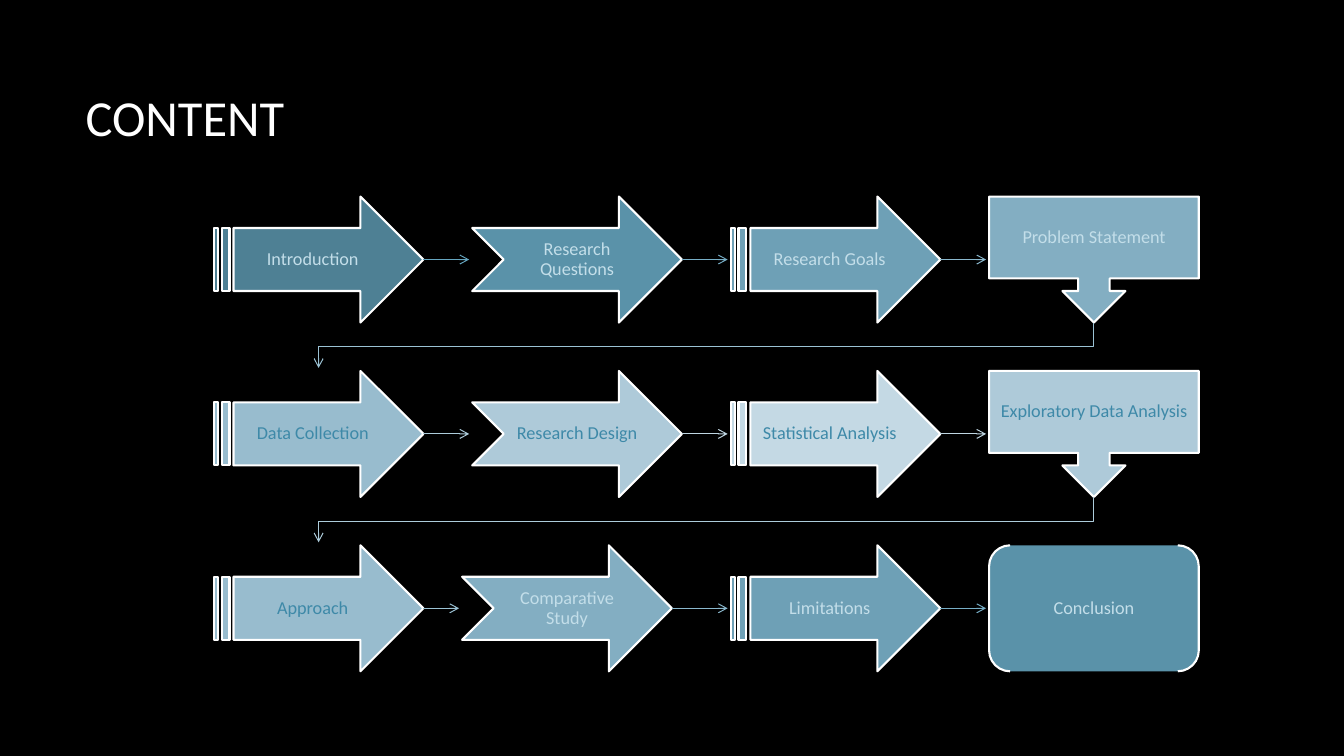
from lxml.etree import SubElement
from pptx import Presentation
from pptx.dml.color import RGBColor
from pptx.enum.shapes import MSO_CONNECTOR, MSO_SHAPE
from pptx.enum.text import MSO_ANCHOR, PP_ALIGN
from pptx.oxml.ns import qn
from pptx.util import Inches, Pt

TITLE = "CONTENT"
STEPS = [
    ["Introduction", "Research Questions", "Research Goals", "Problem Statement"],
    ["Data Collection", "Research Design", "Statistical Analysis", "Exploratory Data Analysis"],
    ["Approach", "Comparative Study", "Limitations", "Conclusion"],
]
COLUMN_SHAPES = [
    MSO_SHAPE.STRIPED_RIGHT_ARROW,
    MSO_SHAPE.NOTCHED_RIGHT_ARROW,
    MSO_SHAPE.STRIPED_RIGHT_ARROW,
    MSO_SHAPE.DOWN_ARROW_CALLOUT,
]
LAST_SHAPE = MSO_SHAPE.DOUBLE_BRACKET
NUDGE = {"Comparative Study": -0.1}

COLORS = {"background": "000000", "white": "FFFFFF",
          "text on dark": "C3DEE9", "text on light": "3E89A8"}
# Shades run from dark to light over the first seven steps, then back
STEP_TONES = dict(enumerate(["4E8094", "5A92A9", "6EA0B6", "83AEC2", "98BCCE", "AECAD9", "C4D9E4"]))
LINK_TONES = dict(enumerate(["65A5BF", "77AEC6", "8AB8CD", "9BC2D4", "ADCCDB", "BFD6E2"]))
LIGHTEST = max(STEP_TONES)
FIRST_LIGHT = 4

# Inches
SLIDE_W, SLIDE_H = 13.33, 7.5
TITLE_BOX = (0.75, 0.36, 11.08, 1.59)
LEFT, RIGHT, TOP = 2.12, 11.89, 1.95
STEP_W, STEP_H = 2.08, 1.25
COLUMN_PITCH = (RIGHT - LEFT - STEP_W) / (len(COLUMN_SHAPES) - 1)
ROW_PITCH = 1.73
LINK_GAP = 0.03

TITLE_FONT = {"name": "Calibri", "size": Pt(36)}
STEP_FONT = {"name": "Calibri", "size": Pt(13)}
STEP_FRAME = {"word_wrap": True, "vertical_anchor": MSO_ANCHOR.MIDDLE,
              "margin_left": Inches(0.1), "margin_right": Inches(0.1),
              "margin_top": Inches(0.11), "margin_bottom": Inches(0.11)}
STEP_PARAGRAPH = {"alignment": PP_ALIGN.CENTER, "line_spacing": 0.9}


def apply(target, values):
    for name, value in values.items():
        setattr(target, name, value)


def rgb(value):
    return RGBColor.from_string(value)


def tone(index):
    return min(index, 2 * LIGHTEST - index)


def step_origin(row, column):
    nudge = NUDGE.get(STEPS[row][column], 0)
    return LEFT + column * COLUMN_PITCH + nudge, TOP + row * ROW_PITCH


def add_step(slide, row, column):
    index = row * len(COLUMN_SHAPES) + column
    is_last = index == len(STEPS) * len(COLUMN_SHAPES) - 1
    kind = LAST_SHAPE if is_last else COLUMN_SHAPES[column]
    x, y = step_origin(row, column)
    step = slide.shapes.add_shape(kind, *map(Inches, (x, y, STEP_W, STEP_H)))
    step.shadow.inherit = False
    step.fill.solid()
    step.fill.fore_color.rgb = rgb(STEP_TONES[tone(index)])
    step.line.color.rgb = rgb(COLORS["white"])
    step.line.width = Pt(1.5)
    apply(step.text_frame, STEP_FRAME)
    paragraph = step.text_frame.paragraphs[0]
    paragraph.text = STEPS[row][column]
    apply(paragraph, STEP_PARAGRAPH)
    apply(paragraph.font, STEP_FONT)
    ink = "text on light" if tone(index) >= FIRST_LIGHT else "text on dark"
    paragraph.font.color.rgb = rgb(COLORS[ink])
    return step


def style_link(link, index):
    link.line.color.rgb = rgb(LINK_TONES[min(tone(index), tone(index + 1))])
    link.line.width = Pt(0.75)
    SubElement(link.line._get_or_add_ln(), qn("a:tailEnd"), type="arrow")
    SubElement(link._element.spPr, qn("a:effectLst"))


def add_row_link(slide, step, row, column):
    """Arrow from a step's tip to just before the next step in its row."""
    x, y = step_origin(row, column)
    next_x, _ = step_origin(row, column + 1)
    middle = Inches(y + STEP_H / 2)
    link = slide.shapes.add_connector(MSO_CONNECTOR.STRAIGHT, Inches(x + STEP_W), middle,
                                      Inches(next_x - LINK_GAP), middle)
    link.begin_connect(step, 3)
    return link


def add_return_link(slide, row):
    """Bent arrow from the end of a row to the start of the next."""
    start_x, start_y = step_origin(row, len(COLUMN_SHAPES) - 1)
    end_x, end_y = step_origin(row + 1, 0)
    start_x, end_x = start_x + STEP_W / 2, end_x + STEP_W / 2
    start_y += STEP_H
    turn_y = (start_y + end_y) / 2
    corners = [(start_x, turn_y), (end_x, turn_y), (end_x, end_y - LINK_GAP)]
    builder = slide.shapes.build_freeform(Inches(start_x), Inches(start_y))
    builder.add_line_segments([(Inches(x), Inches(y)) for x, y in corners], close=False)
    link = builder.convert_to_shape()
    link.fill.background()
    return link


def main():
    presentation = Presentation()
    presentation.slide_width, presentation.slide_height = Inches(SLIDE_W), Inches(SLIDE_H)
    slide = presentation.slides.add_slide(presentation.slide_layouts[5])
    slide.background.fill.solid()
    slide.background.fill.fore_color.rgb = rgb(COLORS["background"])

    title = slide.shapes.title
    apply(title, dict(zip(("left", "top", "width", "height"), map(Inches, TITLE_BOX))))
    title.text_frame.vertical_anchor = MSO_ANCHOR.MIDDLE
    heading = title.text_frame.paragraphs[0]
    heading.text = TITLE
    heading.alignment = PP_ALIGN.LEFT
    apply(heading.font, TITLE_FONT)
    heading.font.color.rgb = rgb(COLORS["white"])

    last_column = len(COLUMN_SHAPES) - 1
    for row, names in enumerate(STEPS):
        for column in range(len(names)):
            step = add_step(slide, row, column)
            index = row * len(names) + column
            if column < last_column:
                style_link(add_row_link(slide, step, row, column), index)
            elif row < len(STEPS) - 1:
                style_link(add_return_link(slide, row), index)

    presentation.save("out.pptx")


if __name__ == "__main__":
    main()
